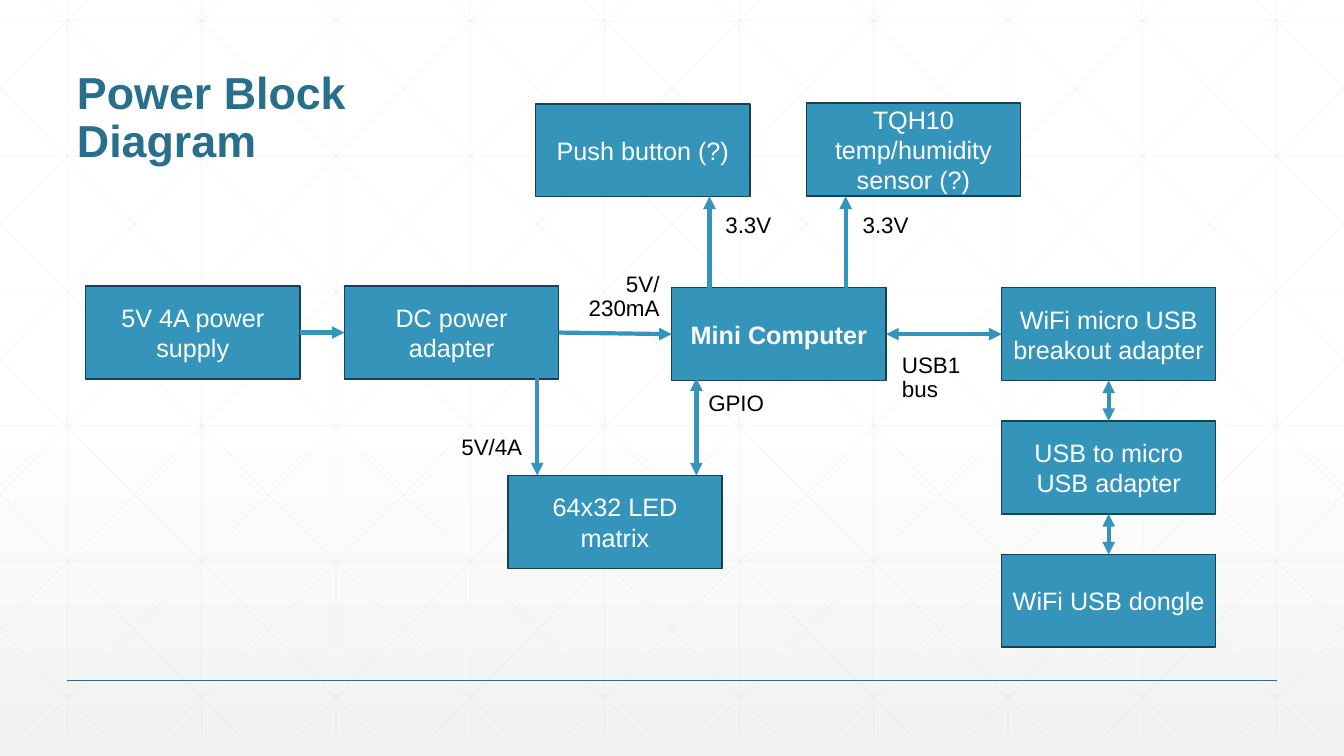
from lxml.etree import SubElement
from pptx import Presentation
from pptx.dml.color import RGBColor
from pptx.enum.shapes import MSO_CONNECTOR, MSO_SHAPE
from pptx.enum.text import MSO_ANCHOR, PP_ALIGN
from pptx.oxml.ns import qn
from pptx.util import Cm, Pt

COLORS = {
    "white": "FFFFFF", "fade": "F2F2F2", "grid": "D9D9D9", "title": "276F8B",
    "box": "3494BA", "edge": "174152", "label": "000000",
}
WIDE, HIGH = 33.87, 19.05
BOX_W, BOX_H = 5.4, 2.34

deck = Presentation()
deck.slide_width, deck.slide_height = Cm(WIDE), Cm(HIGH)
slide = deck.slides.add_slide(deck.slide_layouts[6])

fill = slide.background.fill
fill.gradient()
fill.gradient_angle = 270
for stop, spot, name in zip(fill.gradient_stops, (0.53, 1), ("white", "fade")):
    stop.position = spot
    stop.color.rgb = RGBColor.from_string(COLORS[name])


def write(shape, text, size=18, color="white", bold=False,
          align=PP_ALIGN.LEFT, anchor=MSO_ANCHOR.TOP, space=1.0):
    frame = shape.text_frame
    frame.word_wrap = True
    frame.vertical_anchor = anchor
    para = frame.paragraphs[0]
    para.alignment = align
    para.line_spacing = space
    run = para.add_run()
    run.text = text
    run.font.name = "Arial"
    run.font.size = Pt(size)
    run.font.bold = bold
    run.font.color.rgb = RGBColor.from_string(COLORS[color])


def draw(start, end, color="box", width=3, alpha=None, tips=()):
    line = slide.shapes.add_connector(
        MSO_CONNECTOR.STRAIGHT, *[Cm(n) for n in (*start, *end)])
    line.line.width = Pt(width)
    line.line.color.rgb = RGBColor.from_string(COLORS[color])
    props = line.line._get_or_add_ln()
    if alpha:
        SubElement(props.find(".//" + qn("a:srgbClr")), qn("a:alpha"), val=str(alpha * 1000))
    for tip in tips:
        SubElement(props, qn("a:" + tip), type="triangle")
    SubElement(line._element.spPr, qn("a:effectLst"))
    return line


step = WIDE / 10
base = 18.52
faint = {"color": "grid", "width": 0.5, "alpha": 25}
for col in range(10):
    x = step * (col + 0.5)
    draw((x, 0), (x, base), **faint)
for row in range(6):
    y = 0.53 + 3.4 * row
    draw((0, y), (WIDE, y), **faint)

slope = 18.93 / HIGH
for mirror in (False, True):
    for col in range(-5, 10):
        left = 0.64 + step * col
        top = max(0, -0.53 - left / slope)
        end = min(base, -0.53 + (WIDE - left) / slope)
        ends = [(left + slope * (y + 0.53), y) for y in (top, end)]
        if mirror:
            ends = [(WIDE - x, y) for x, y in ends]
        draw(*ends, **faint)

draw((1.69, 17.15), (32.18, 17.15), color="title", width=1)

title = slide.shapes.add_textbox(Cm(1.69), Cm(0.64), Cm(9.86), Cm(3.71))
write(title, "Power Block Diagram", size=32, color="title", bold=True,
      anchor=MSO_ANCHOR.BOTTOM, space=0.9)

boxes = {}
for key, text, x, y in (
    ("board", "Mini Computer", 16.93, 7.25),
    ("matrix", "64x32 LED matrix", 12.8, 11.98),
    ("supply", "5V 4A power supply", 2.16, 7.21),
    ("power", "DC power adapter", 8.68, 7.21),
    ("dongle", "WiFi USB dongle", 25.24, 13.97),
    ("micro", "USB to micro USB adapter", 25.24, 10.61),
    ("wifi", "WiFi micro USB breakout adapter", 25.24, 7.25),
    ("sensor", "TQH10 temp/humidity sensor (?)", 20.32, 2.6),
    ("button", "Push button (?)", 13.5, 2.62),
):
    box = slide.shapes.add_shape(MSO_SHAPE.RECTANGLE, Cm(x), Cm(y), Cm(BOX_W), Cm(BOX_H))
    box.shadow.inherit = False
    box.fill.solid()
    box.fill.fore_color.rgb = RGBColor.from_string(COLORS["box"])
    box.line.color.rgb = RGBColor.from_string(COLORS["edge"])
    box.line.width = Pt(1)
    write(box, text, bold=key == "board", align=PP_ALIGN.CENTER, anchor=MSO_ANCHOR.MIDDLE)
    boxes[key] = box

one, both = ("tailEnd",), ("headEnd", "tailEnd")
for tail, out, head, into, tips in (
    ("supply", 3, "power", 1, one),
    ("power", 3, "board", 1, one),
    ("wifi", 1, "board", 3, both),
    ("micro", 0, "wifi", 2, both),
    ("dongle", 0, "micro", 2, both),
):
    link = draw((0, 0), (1, 1), tips=tips)
    link.begin_connect(boxes[tail], out)
    link.end_connect(boxes[head], into)

for x, start, end, tips in (
    (13.54, 9.53, 11.98, one),
    (17.55, 9.53, 11.98, both),
    (17.88, 7.25, 4.95, one),
    (21.31, 7.25, 4.95, one),
):
    draw((x, start), (x, end), tips=tips)

for text, x, y, width, height, align in (
    ("USB1 bus", 22.48, 8.79, 2.9, 2.01, PP_ALIGN.LEFT),
    ("5V/230mA", 14.38, 6.76, 2.49, 2.01, PP_ALIGN.RIGHT),
    ("GPIO", 17.6, 9.75, 3.3, 2.01, PP_ALIGN.LEFT),
    ("5V/4A", 9.47, 10.87, 3.94, 2.21, PP_ALIGN.RIGHT),
    ("3.3V", 18.03, 5.28, 6.55, 1.27, PP_ALIGN.LEFT),
    ("3.3V", 21.49, 5.28, 6.55, 1.27, PP_ALIGN.LEFT),
):
    label = slide.shapes.add_textbox(Cm(x), Cm(y), Cm(width), Cm(height))
    write(label, text, size=16, color="label", align=align, space=0.9)

deck.save("out.pptx")
